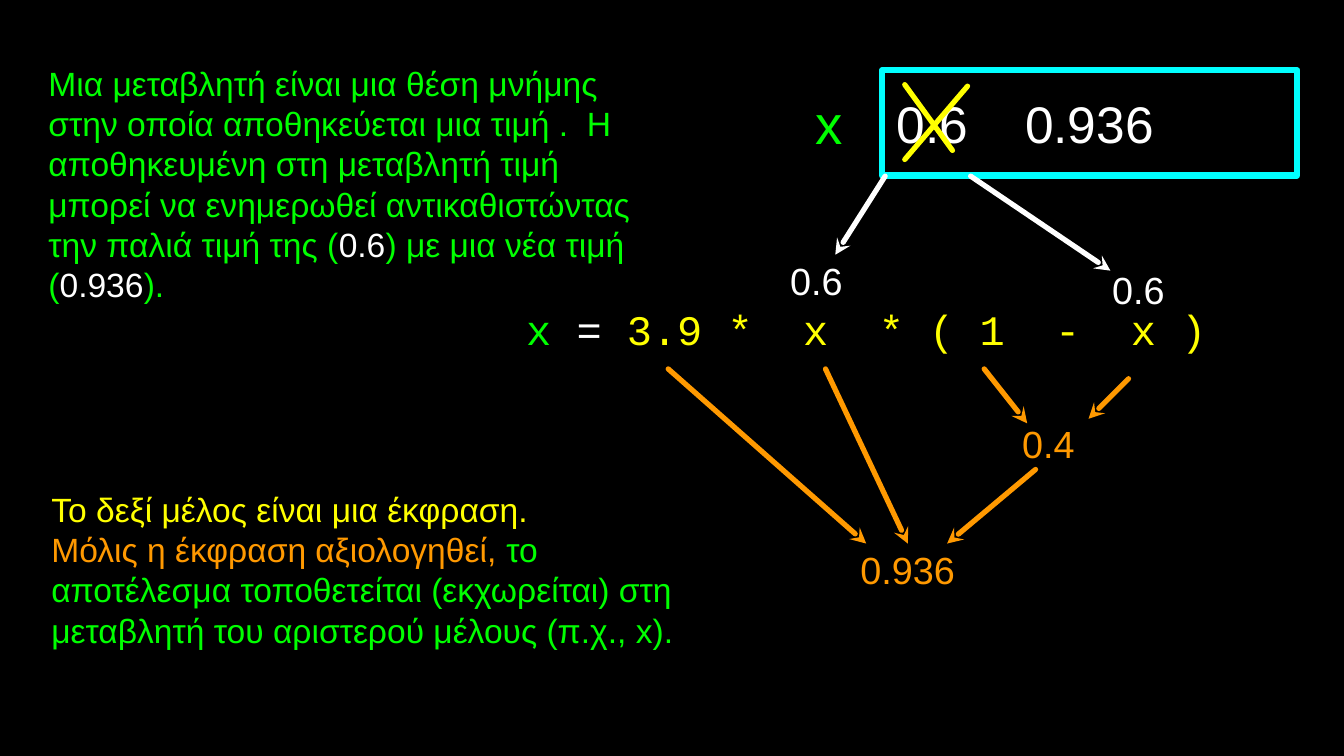
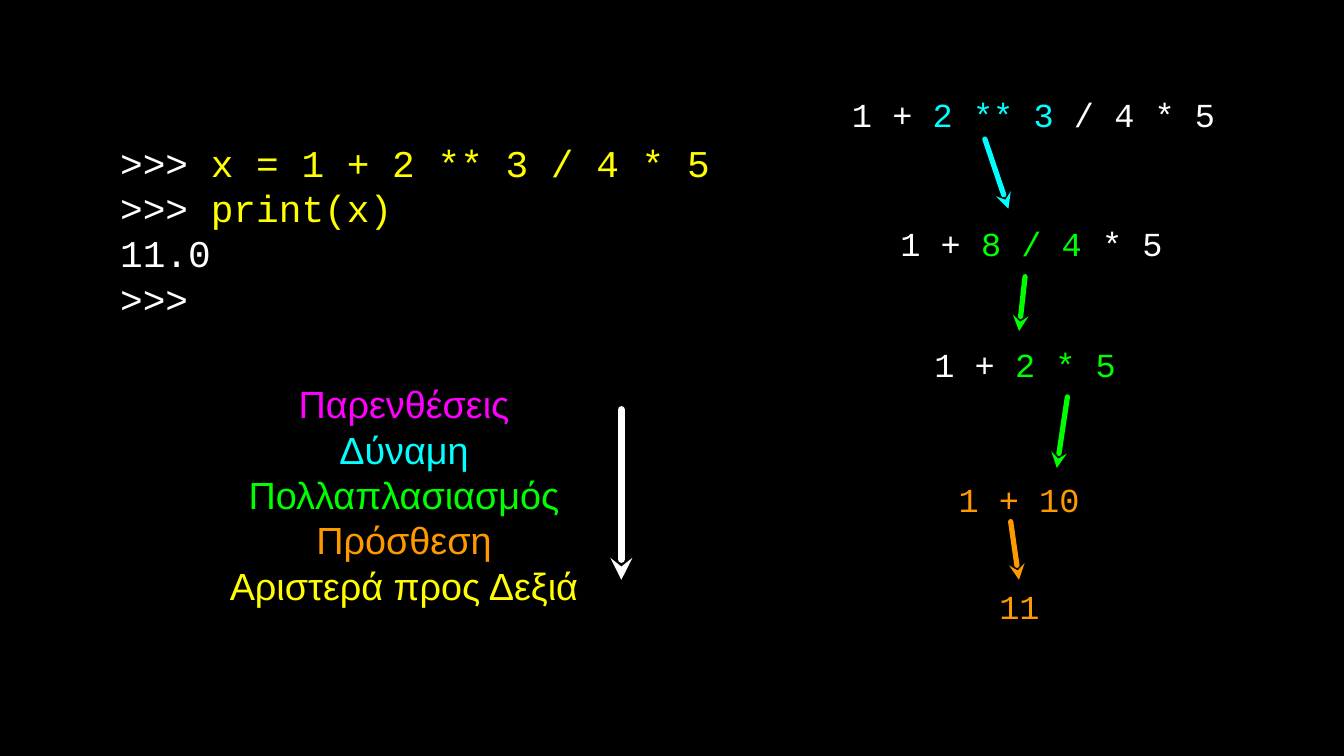
from lxml.etree import SubElement
from pptx import Presentation
from pptx.dml.color import RGBColor
from pptx.enum.shapes import MSO_CONNECTOR, MSO_SHAPE
from pptx.enum.text import MSO_ANCHOR, PP_ALIGN
from pptx.oxml.ns import qn
from pptx.util import Inches, Pt

COLORS = {
    "black": "000000", "white": "FFFFFF", "green": "00FF00", "yellow": "FFFF00",
    "orange": "FF9900", "cyan": "00FFFF", "magenta": "FF00FF",
}
SANS, MONO = "Arial", "Courier New"
LINE_PITCH = 1.2

presentation = Presentation()
presentation.slide_width = Inches(17.78)
presentation.slide_height = Inches(10)
# The grid has 100 columns and 100 rows.
COLUMN = presentation.slide_width / 100
ROW = presentation.slide_height / 100

background = presentation.slide_master.background.fill
background.solid()
background.fore_color.rgb = RGBColor.from_string(COLORS["black"])
blank_layout = presentation.slide_layouts[6]


def add_text(slide, cells, paragraphs, size, font=SANS, align=PP_ALIGN.LEFT, frame_color=None):
    """Write paragraphs of (text, color) runs, in a frame if it has a color."""
    left, top, width, height = cells
    place = [int(n) for n in (left * COLUMN, top * ROW, width * COLUMN, height * ROW)]
    if frame_color:
        shape = slide.shapes.add_shape(MSO_SHAPE.RECTANGLE, *place)
        shape.shadow.inherit = False
        shape.fill.background()
        shape.line.color.rgb = RGBColor.from_string(COLORS[frame_color])
        shape.line.width = Pt(6)
    else:
        shape = slide.shapes.add_textbox(*place)
    frame = shape.text_frame
    frame.word_wrap = True
    frame.vertical_anchor = MSO_ANCHOR.MIDDLE
    frame.margin_left = frame.margin_right = frame.margin_top = frame.margin_bottom = 0
    for index, runs in enumerate(paragraphs):
        paragraph = frame.add_paragraph() if index else frame.paragraphs[0]
        paragraph.alignment = align
        paragraph.line_spacing = Pt(size * LINE_PITCH)
        for text, color in runs:
            if text == "\n":
                paragraph.add_line_break()
                continue
            run = paragraph.add_run()
            run.text = text
            run.font.name = font
            run.font.size = Pt(size)
            run.font.color.rgb = RGBColor.from_string(COLORS[color])
    return shape


def add_stroke(slide, cells, color, arrow=True, width=5):
    """Draw a round-ended line whose arrowhead, if any, is at its first point."""
    x1, y1, x2, y2 = cells
    stroke = slide.shapes.add_connector(
        MSO_CONNECTOR.STRAIGHT, int(x1 * COLUMN), int(y1 * ROW), int(x2 * COLUMN), int(y2 * ROW))
    stroke.line.color.rgb = RGBColor.from_string(COLORS[color])
    stroke.line.width = Pt(width)
    properties = stroke._element.spPr
    outline = properties.find(qn("a:ln"))
    outline.set("cap", "rnd")
    if arrow:
        SubElement(outline, qn("a:headEnd"), type="stealth")
    SubElement(properties, qn("a:effectLst"))
    return stroke


# Slide 1: assigning to a variable
slide = presentation.slides.add_slide(blank_layout)
add_text(slide, (39.15, 37.2, 54.39, 12.6),
         [[("x ", "green"), ("= ", "white"), ("3.9 *  x  * ( 1  -  x )", "yellow")]], 40, MONO)

memory_cell = add_text(slide, (65.64, 9.3, 30.88, 13.9), [[("0.6\t0.936", "white")]], 49,
                       frame_color="cyan")
memory_cell.text_frame.margin_left = int(1.07 * COLUMN)
tab_stops = SubElement(memory_cell.text_frame.paragraphs[0]._p.get_or_add_pPr(), qn("a:tabLst"))
SubElement(tab_stops, qn("a:tab"), pos=str(int(9.56 * COLUMN)), algn="l")

add_text(slide, (60.35, 11.5, 2.76, 9.4), [[("x", "green")]], 52, align=PP_ALIGN.CENTER)
values = [
    ("0.4", "orange", 74.75, 55.3, 6.52),
    ("0.6", "white", 57.99, 33.7, 5.51),
    ("0.6", "white", 81.44, 34.9, 6.52),
    ("0.936", "orange", 62.2, 71.9, 10.69),
]
for text, color, left, top, width in values:
    result = add_text(slide, (left, top, width, 6.8), [[(text, color)]], 36,
                      align=PP_ALIGN.CENTER)

add_text(slide, (3.82, 64, 47.13, 22.6), [[
    ("Το δεξί μέλος είναι μια έκφραση.", "yellow"), ("\n", None),
    ("Μόλις η έκφραση αξιολογηθεί, ", "orange"),
    ("το αποτέλεσμα τοποθετείται (εκχωρείται) στη μεταβλητή του αριστερού μέλους (π.χ., x).",
     "green"),
]], 32)
add_text(slide, (3.6, 9.3, 46.18, 30), [[
    ("Μια μεταβλητή είναι μια θέση μνήμης στην οποία αποθηκεύεται μια τιμή .  Η αποθηκευμένη "
     "στη μεταβλητή τιμή μπορεί να ενημερωθεί αντικαθιστώντας την παλιά τιμή της (", "green"),
    ("0.6", "white"), (") με μια νέα τιμή (", "green"), ("0.936", "white"), (").", "green"),
]], 32)

for cross_stroke in [(71.99, 11.4, 67.32, 21.1), (67.32, 11.2, 70.87, 19.9)]:
    add_stroke(slide, cross_stroke, "yellow", arrow=False)
for reading_arrow in [(62.15, 33.7, 65.86, 23.3), (82.62, 35.8, 72.22, 23.3)]:
    add_stroke(slide, reading_arrow, "white")
evaluation_arrows = [
    (70.47, 71.9, 77.05, 62.1),
    (80.99, 55.4, 83.97, 50.1),
    (76.43, 56, 73.23, 48.8),
    (64.45, 71.9, 49.72, 48.8),
]
for evaluation_arrow in evaluation_arrows:
    add_stroke(slide, evaluation_arrow, "orange")
add_stroke(slide, (67.55, 71.9, 61.42, 48.8), "orange").begin_connect(result, 0)

# Slide 2: operator precedence
slide = presentation.slides.add_slide(blank_layout)
steps = [
    (63.39, 10.8, 28.46, [("1 + ", "white"), ("2 ** 3", "cyan"), (" / 4 * 5", "white")]),
    (66.99, 27.8, 24.86, [("1 + ", "white"), ("8 / 4", "green"), (" * 5", "white")]),
    (69.52, 43.8, 19.8, [("1 + ", "white"), ("2 * 5", "green")]),
    (71.32, 61.7, 13.89, [("1 + 10", "orange")]),
    (74.35, 75.8, 4.44, [("11", "orange")]),
]
step_boxes = [add_text(slide, (left, top, width, 8.7), [runs], 32, MONO)
              for left, top, width, runs in steps]
step_arrows = [
    ((75.03, 27.6, 73.28, 18.4), "cyan"),
    ((75.82, 43.8, 76.27, 36.6), "green"),
    ((78.63, 61.9, 79.42, 52.5), "green"),
    ((75.82, 76.7, 75.2, 69), "orange"),
]
arrows = [add_stroke(slide, cells, color) for cells, color in step_arrows]
arrows[2].end_connect(step_boxes[2], 2)

add_text(slide, (8.94, 14.3, 45.22, 32.3), [
    [(">>> ", "white"), ("x = 1 + 2 ** 3 / 4 * 5", "yellow")],
    [(">>> ", "white"), ("print(x)", "yellow")],
    [("11.0", "white")],
    [(">>>", "white")],
], 36, MONO)

precedence = [
    ("Παρενθέσεις", "magenta"),
    ("Δύναμη", "cyan"),
    ("Πολλαπλασιασμός", "green"),
    ("Πρόσθεση", "orange"),
    ("Αριστερά προς Δεξιά", "yellow"),
]
precedence_list = add_text(slide, (16.93, 48.9, 26.27, 33), [[rule] for rule in precedence],
                           36, align=PP_ALIGN.CENTER)
precedence_arrow = add_stroke(slide, (46.23, 76.7, 46.23, 54.2), "white", width=7)
slide.shapes.add_group_shape([precedence_list, precedence_arrow])

presentation.save("out.pptx")
